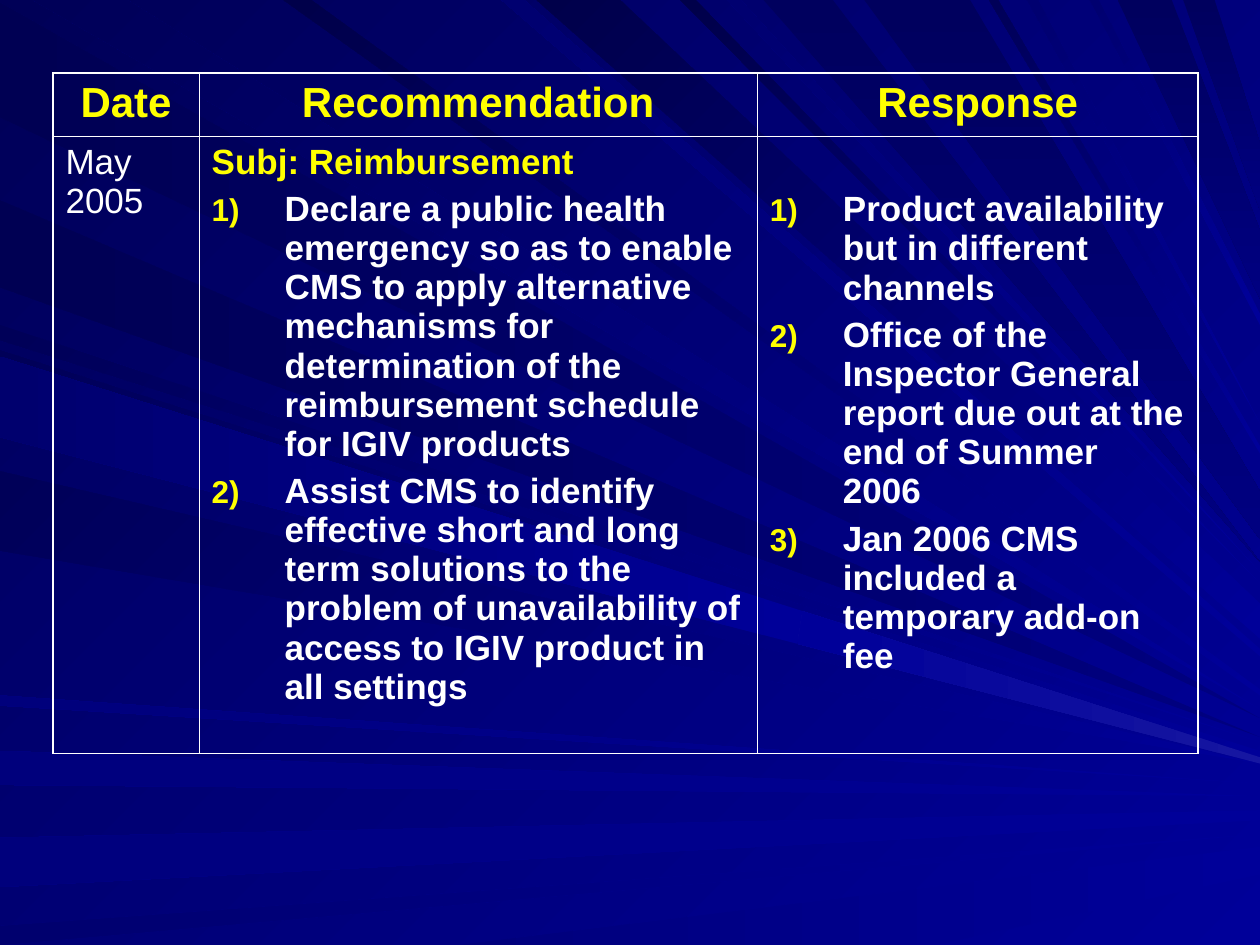
from dataclasses import dataclass, field

from lxml import etree
from pptx import Presentation
from pptx.dml.color import RGBColor
from pptx.enum.text import PP_ALIGN
from pptx.oxml.ns import qn
from pptx.util import Inches, Pt

CENTER = PP_ALIGN.CENTER
LEFT = PP_ALIGN.LEFT


@dataclass
class Theme:
    font: str = "Arial"
    accent: str = "FFFF00"
    text: str = "FFFFFF"
    header_size: float = 24
    body_size: float = 20
    paragraph_gap: float = 5
    outer_line: float = 1.08
    inner_line: float = 0.45
    bullet_percent: int = 90
    backdrop: tuple = ("000099", "000057", 225)
    ray_fills: dict = field(default_factory=lambda: {
        "night": ("000099", "00004A", 225),
        "navy": ("000099", "000058", 225),
        "blue": ("000099", "000070", 225),
        "shade": ("000080", "000053", 180),
        "low": ("000099", "00006E", 180),
        "soft": ("000099", "00007C", 180),
        "glow": ("1616A1", "000099", 180),
        "steep": ("00005E", "000080", 90),
    })


PAGE_WIDTH, PAGE_HEIGHT = 10, 7.5

RAYS = [
    ("left", "shade", (0.02, 0.93), (5.7,)),
    ("top", "navy", (0.26, 1.01), (5.63,)),
    ("left", "soft", (5.96, 6.23), (6.32,)),
    ("left", "soft", (6.65, 7.04), (6.43, 6.51)),
    ("left", "low", (7.35, 7.5), (6.62,)),
    ("bottom", "soft", (3.64, 7.42), (6.72, 6.94)),
    ("left", "navy", (2.58, 2.7), (5.89,)),
    ("left", "shade", (1.59, 2.28), (5.85,)),
    ("top", "blue", (3.98, 4.16), (5.21, 5.15)),
    ("top", "night", (4.26, 4.92), (5.07, 4.79)),
    ("top", "night", (5.4, 5.52), (4.63,)),
    ("top", "steep", (6.06, 6.61), (4.46,)),
    ("top", "steep", (8.87, 9.3), (2.37, 1.83)),
    ("top", "steep", (9.39, 9.64), (1.67, 1.14)),
    ("left", "navy", (2.78, 3.42), (5.96, 6.02)),
    ("left", "navy", (3.74, 4.37), (6.06,)),
    ("left", "soft", (5.52, 5.6), (6.22,)),
    ("top", "night", (2.25, 2.47), (5.52, 5.47)),
    ("top", "blue", (5.77, 5.88), (4.54,)),
    ("top", "steep", (6.86, 7.7), (4.28, 3.9)),
    ("top", "navy", (7.85, 7.92), (3.6, 3.54)),
    ("top", "blue", (8.15, 8.24), (3.36,)),
    ("top", "blue", (8.65, 8.72), (2.58, 2.49)),
]

GLOW_JOINT = [(6.33, 5.11), (6.37, 4.85)]
GLOW_RAY = [
    ("low", [(0, 2.83), (0, 3.47), *GLOW_JOINT]),
    ("glow", [(PAGE_WIDTH, 6.01), (PAGE_WIDTH, 6.06), *GLOW_JOINT]),
]

COLUMN_WIDTHS = [1.16, 4.43, 3.5]
ROW_HEIGHTS = [0.5, 4.9]
CELLS = [
    [[("header", "Date")], [("header", "Recommendation")], [("header", "Response")]],
    [
        [("plain", "May 2005")],
        [
            ("subject", "Subj: Reimbursement"),
            ("item", "Declare a public health emergency so as to enable CMS to apply alternative "
                     "mechanisms for determination of the reimbursement schedule for IGIV products"),
            ("item", "Assist CMS to identify effective short and long term solutions to the problem "
                     "of unavailability of access to IGIV product in all settings"),
        ],
        [
            ("item", "Product availability but in different channels"),
            ("item", "Office of the Inspector General report due out at the end of Summer 2006"),
            ("item", "Jan 2006 CMS included a temporary add-on fee"),
        ],
    ],
]


class SlideBuilder:
    def __init__(self, page, theme):
        self.page = page
        self.theme = theme
        body = {"size": Pt(theme.body_size), "name": theme.font}
        self.formats = {
            "header": (theme.accent, {**body, "size": Pt(theme.header_size), "bold": True}),
            "plain": (theme.text, {**body, "bold": False}),
            "subject": (theme.accent, {**body, "bold": True}),
            "item": (theme.text, {**body, "bold": True}),
        }

    def paint(self, fill, colours):
        *ends, angle = colours
        fill.gradient()
        fill.gradient_angle = 360 - angle
        for position, (stop, colour) in enumerate(zip(fill.gradient_stops, ends)):
            stop.color.rgb = RGBColor.from_string(colour)
            stop.position = position

    def polygon(self, fill_name, points):
        start, *rest = [(Inches(x), Inches(y)) for x, y in points]
        builder = self.page.shapes.build_freeform(*start)
        builder.add_line_segments(rest, close=True)
        shape = builder.convert_to_shape()
        shape.shadow.inherit = False
        shape.line.fill.background()
        self.paint(shape.fill, self.theme.ray_fills[fill_name])

    def ray(self, edge, fill_name, starts, ends):
        if edge == "left":
            points = [(0, y) for y in starts]
        else:
            points = [(x, 0 if edge == "top" else PAGE_HEIGHT) for x in starts]
        points += [(PAGE_WIDTH, y) for y in reversed(ends)]
        self.polygon(fill_name, points)

    def number(self, para):
        properties = para._p.get_or_add_pPr()
        colour = etree.SubElement(properties, qn("a:buClr"))
        etree.SubElement(colour, qn("a:srgbClr"), val=self.theme.accent)
        etree.SubElement(properties, qn("a:buSzPct"), val=str(self.theme.bullet_percent * 1000))
        etree.SubElement(properties, qn("a:buFont"), typeface=self.theme.font)
        etree.SubElement(properties, qn("a:buAutoNum"), type="arabicParenR")
        properties.set("marL", str(Inches(0.58)))
        properties.set("indent", str(-Inches(0.58)))

    def paragraph(self, para, kind, text, first):
        if kind == "item":
            self.number(para)
        para.alignment = CENTER if kind == "header" else LEFT
        para.space_before = Pt(0 if first else self.theme.paragraph_gap)
        span = para.add_run()
        span.text = text
        colour, values = self.formats[kind]
        for name, value in values.items():
            setattr(span.font, name, value)
        span.font.color.rgb = RGBColor.from_string(colour)

    def borders(self, cell, outer_sides):
        properties = cell._tc.get_or_add_tcPr()
        for side in "LRTB":
            width = self.theme.outer_line if side in outer_sides else self.theme.inner_line
            line = etree.SubElement(properties, qn(f"a:ln{side}"), w=str(Pt(width)))
            solid = etree.SubElement(line, qn("a:solidFill"))
            etree.SubElement(solid, qn("a:srgbClr"), val=self.theme.text)

    def table(self, left, top, widths, heights, contents):
        frame = self.page.shapes.add_table(
            len(heights), len(widths), Inches(left), Inches(top),
            Inches(sum(widths)), Inches(sum(heights)))
        table = frame.table
        table.first_row = table.horz_banding = False
        for column, width in zip(table.columns, widths):
            column.width = Inches(width)
        for row, height in zip(table.rows, heights):
            row.height = Inches(height)
        last_row, last_column = len(heights) - 1, len(widths) - 1
        for r, row in enumerate(contents):
            for c, paragraphs in enumerate(row):
                cell = table.cell(r, c)
                edges = {"L": c == 0, "R": c == last_column, "T": r == 0, "B": r == last_row}
                self.borders(cell, [side for side, outer in edges.items() if outer])
                cell.fill.background()
                top_margin = 0.43 if paragraphs[0][0] == "item" else 0.05
                margins = {"left": 0.1, "right": 0.1, "top": top_margin, "bottom": 0.05}
                for side, margin in margins.items():
                    setattr(cell, f"margin_{side}", Inches(margin))
                text_frame = cell.text_frame
                for index, (kind, text) in enumerate(paragraphs):
                    para = text_frame.add_paragraph() if index else text_frame.paragraphs[0]
                    self.paragraph(para, kind, text, index == 0)


def main():
    deck = Presentation()
    deck.slide_width, deck.slide_height = Inches(PAGE_WIDTH), Inches(PAGE_HEIGHT)
    page = deck.slides.add_slide(deck.slide_layouts[6])
    builder = SlideBuilder(page, Theme())
    builder.paint(page.background.fill, builder.theme.backdrop)
    for ray in RAYS:
        builder.ray(*ray)
    for fill_name, points in GLOW_RAY:
        builder.polygon(fill_name, points)
    builder.table(0.42, 0.58, COLUMN_WIDTHS, ROW_HEIGHTS, CELLS)
    deck.save("out.pptx")


if __name__ == "__main__":
    main()
